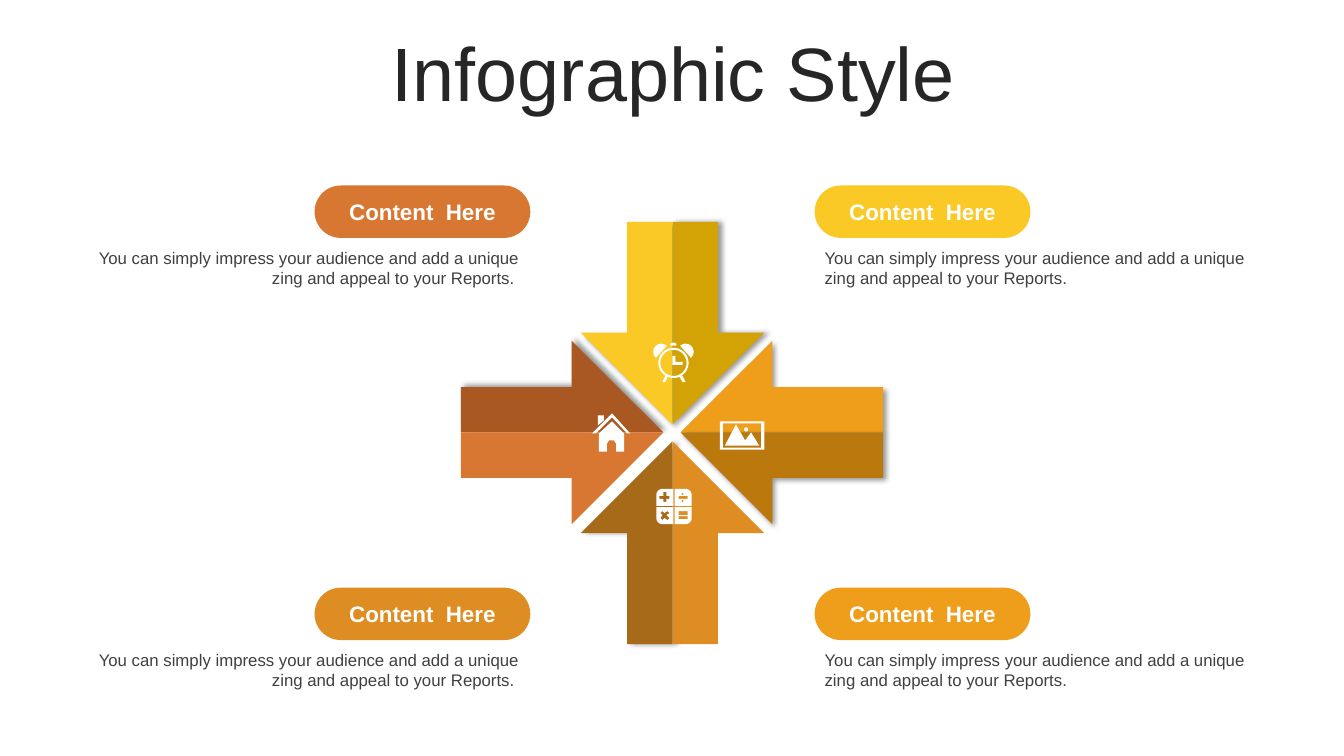
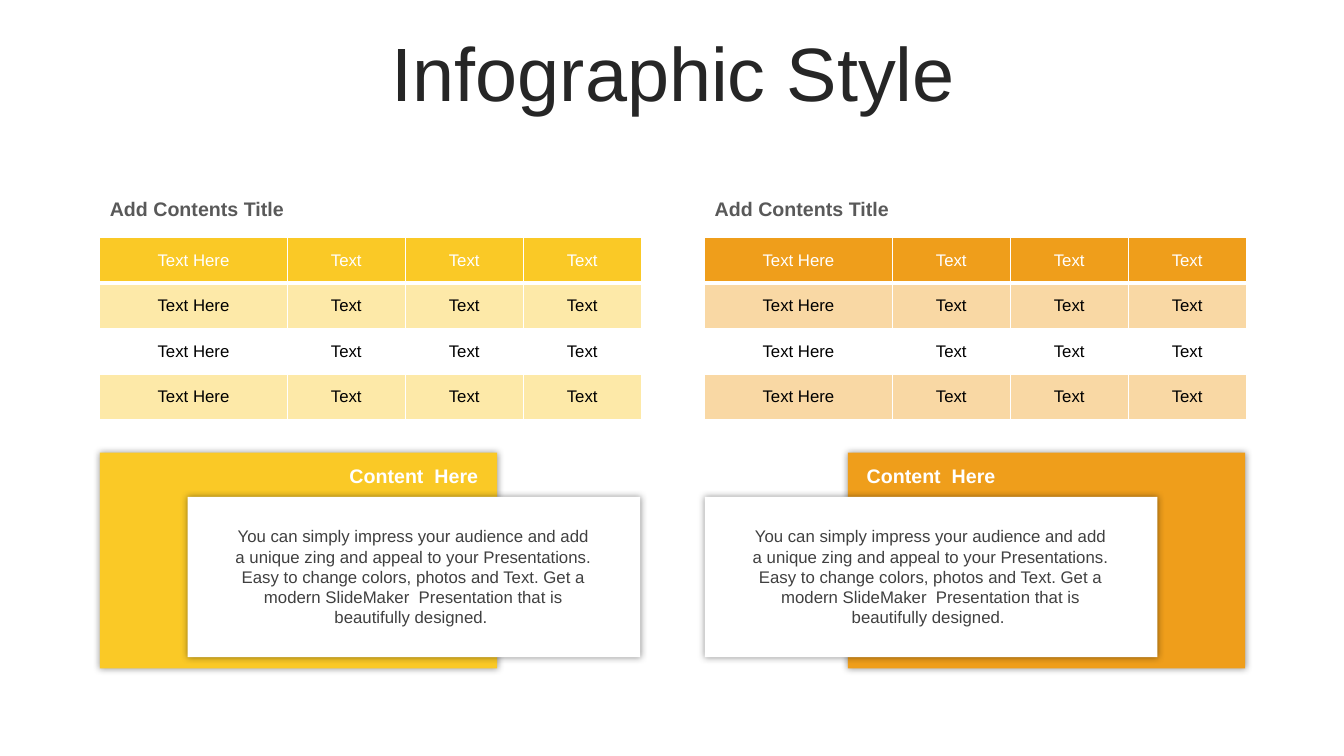
"""Build two infographic slides: four meeting arrows, and two tables with cards."""
from dataclasses import dataclass
from math import cos, radians, sin
from typing import Optional

from pptx import Presentation
from pptx.dml.color import RGBColor
from pptx.enum.shapes import MSO_SHAPE as Preset
from pptx.enum.text import MSO_ANCHOR as Anchor, MSO_AUTO_SIZE as AutoSize, PP_ALIGN as Align
from pptx.oxml.ns import qn
from pptx.oxml.xmlchemy import OxmlElement
from pptx.util import Emu, Pt

EMU_PER_PX = 9144
FONT = "Arial"
WHITE, BLACK, BODY_GREY = "FFFFFF", "000000", "404040"
YELLOW, AMBER, OCHRE, RUST = "FAC926", "EF9E1B", "DE8D22", "D87732"

TITLE = {"size": Pt(54), "bold": False}
PILL = {"size": Pt(16), "bold": True}
HEADING = {"size": Pt(14), "bold": True}
PLAIN = {"size": Pt(12), "bold": False}

REPORTS = "You can simply impress your audience and add a unique zing and appeal to your Reports."
PRESENTATIONS = (
    "You can simply impress your audience and add a unique zing and appeal to your "
    "Presentations. Easy to change colors, photos and Text. Get a modern SlideMaker  "
    "Presentation that is beautifully designed. "
)

Point = tuple[float, float]
Contour = list[Point]


@dataclass(frozen=True)
class Box:
    left: int
    top: int
    width: int
    height: int

    def emu(self) -> list[Emu]:
        return [px(side) for side in (self.left, self.top, self.width, self.height)]


@dataclass(frozen=True)
class Shadow:
    blur: int
    distance: int = 0
    angle: int = 0


@dataclass(frozen=True)
class ArrowHalf:
    tip: tuple[int, int]
    back: tuple[int, int]
    side: tuple[int, int]
    color: str
    shadow_angle: Optional[int] = None


@dataclass(frozen=True)
class Topic:
    left: int
    top: int
    color: str
    on_left: bool


@dataclass(frozen=True)
class Panel:
    left: int
    back_left: int
    card_left: int
    label_left: int
    color: str
    band: str


def px(length: float) -> Emu:
    return Emu(round(length * EMU_PER_PX))


def rgb(color: str) -> RGBColor:
    return RGBColor.from_string(color)


def arc(cx: int, cy: int, radius: int, start: int, end: int) -> Contour:
    steps = max(6, (end - start) // 10)
    angles = [radians(start + (end - start) * i / steps) for i in range(steps + 1)]
    return [(cx + radius * cos(a), cy + radius * sin(a)) for a in angles]


def rect(left: int, top: int, right: int, bottom: int) -> Contour:
    return [(left, top), (right, top), (right, bottom), (left, bottom)]


CLOCK = [
    arc(668, 360, 15, 0, 360),
    arc(668, 360, 13, 0, 360),
    [(667, 353), (670, 353), (670, 359), (677, 359), (677, 362), (667, 362)],
    [(677, 373), (680, 379), (677, 379), (674, 374)],
    [(662, 374), (660, 379), (657, 379), (660, 373)],
    arc(656, 349, 8, 132, 312),
    arc(680, 349, 8, 228, 408),
    [(665, 343), (665, 341), (667, 340), (669, 340), (671, 341), (671, 343)],
]
CALCULATOR = [
    arc(657, 491, 6, 180, 270) + [(668, 485), (668, 502), (651, 502)],
    arc(680, 491, 6, 270, 360) + [(686, 502), (669, 502), (669, 485)],
    arc(680, 514, 6, 0, 90) + [(669, 520), (669, 503), (686, 503)],
    arc(657, 514, 6, 90, 180) + [(651, 503), (668, 503), (668, 520)],
    [(658, 488), (661, 488), (661, 492), (664, 492), (664, 495), (661, 495),
     (661, 498), (658, 498), (658, 495), (654, 495), (654, 492), (658, 492)],
    [(657, 507), (655, 509), (657, 511), (655, 514), (657, 516), (659, 514),
     (662, 516), (664, 514), (661, 511), (664, 509), (662, 507), (659, 509)],
    rect(673, 492, 682, 495),
    arc(677, 490, 1, 0, 360),
    arc(677, 497, 1, 0, 360),
    rect(673, 507, 682, 511),
    rect(673, 512, 682, 515),
]
HOUSE = [
    [(607, 418), (619, 430), (619, 448), (611, 448), (611, 440), (609, 437),
     (604, 437), (602, 440), (602, 448), (594, 448), (594, 430)],
    [(593, 412), (599, 412), (599, 417), (593, 422)],
    [(607, 410), (625, 430), (622, 430), (607, 414), (591, 430), (587, 430)],
]
LANDSCAPE = [
    rect(714, 418, 758, 446),
    rect(717, 420, 755, 444),
    arc(740, 426, 2, 0, 360),
    [(730, 421), (739, 437), (745, 429), (753, 442), (719, 442)],
]

LEFT, RIGHT, UP, DOWN = (-1, 0), (1, 0), (0, -1), (0, 1)
ARROW_HALVES = [
    ArrowHalf((658, 429), LEFT, UP, "A85820", 315),
    ArrowHalf((658, 429), LEFT, DOWN, RUST),
    ArrowHalf((675, 429), RIGHT, UP, AMBER, 45),
    ArrowHalf((675, 429), RIGHT, DOWN, "BA780D", 45),
    ArrowHalf((667, 421), UP, LEFT, YELLOW, 45),
    ArrowHalf((667, 421), UP, RIGHT, "D3A305", 0),
    ArrowHalf((667, 438), DOWN, LEFT, "A76A19", 0),
    ArrowHalf((667, 438), DOWN, RIGHT, OCHRE),
]
HALF_PROFILE = [(0, 0), (91, 91), (91, 45), (201, 45), (201, 0)]

TOPICS = [
    Topic(312, 184, RUST, True),
    Topic(312, 583, OCHRE, True),
    Topic(808, 184, YELLOW, False),
    Topic(808, 583, AMBER, False),
]
PANELS = [
    Panel(99, 99, 186, 312, YELLOW, "FDE9A8"),
    Panel(699, 841, 699, 825, AMBER, "F9D8A4"),
]
COLUMN_WIDTHS = [186, 117, 117, 117]
ROW_HEIGHT, ROW_COUNT = 45, 4


def paint(shape, color: str, shadow: Optional[Shadow] = None) -> None:
    shape.fill.solid()
    shape.fill.fore_color.rgb = rgb(color)
    shape.line.fill.background()
    shape.shadow.inherit = False
    if shadow:
        effects = shape.element.spPr.find(qn("a:effectLst"))
        outer = add_child(effects, "a:outerShdw", blurRad=Pt(shadow.blur),
                          dist=Pt(shadow.distance), dir=shadow.angle * 60000,
                          algn="ctr", rotWithShape=0)
        tint = add_child(outer, "a:srgbClr", val=BLACK)
        add_child(tint, "a:alpha", val=40000)


def add_child(parent, tag: str, **attributes):
    child = OxmlElement(tag)
    for key, value in attributes.items():
        child.set(key, str(int(value)) if isinstance(value, int) else value)
    parent.append(child)
    return child


def write(frame, text: str, font: dict, color: str, align=Align.CENTER):
    paragraph = frame.paragraphs[0]
    paragraph.alignment = align
    run = paragraph.add_run()
    run.text = text
    for key, value in {"name": FONT, **font}.items():
        setattr(run.font, key, value)
    run.font.color.rgb = rgb(color)
    return paragraph


def add_text(slide, box: Box, text: str, font: dict, color: str, align=Align.CENTER) -> None:
    frame = slide.shapes.add_textbox(*box.emu()).text_frame
    frame.word_wrap = True
    frame.auto_size = AutoSize.SHAPE_TO_FIT_TEXT
    write(frame, text, font, color, align)


def add_title(slide) -> None:
    frame = slide.shapes.add_textbox(*Box(35, 37, 1266, 79).emu()).text_frame
    for key, value in {"word_wrap": True, "vertical_anchor": Anchor.MIDDLE}.items():
        setattr(frame, key, value)
    write(frame, "Infographic Style", TITLE, "262626").line_spacing = 0.9


def add_outline(slide, contours: list[Contour], color: str,
                shadow: Optional[Shadow] = None) -> None:
    scaled = [[(px(x), px(y)) for x, y in contour] for contour in contours]
    builder = slide.shapes.build_freeform(*scaled[0][0])
    for index, (start, *rest) in enumerate(scaled):
        if index:
            builder.move_to(*start)
        builder.add_line_segments(rest, close=True)
    paint(builder.convert_to_shape(), color, shadow)


def add_arrow_half(slide, half: ArrowHalf) -> None:
    (x, y), (bx, by), (sx, sy) = half.tip, half.back, half.side
    contour = [(x + along * bx + out * sx, y + along * by + out * sy)
               for along, out in HALF_PROFILE]
    angle = half.shadow_angle
    add_outline(slide, [contour], half.color, None if angle is None else Shadow(4, 3, angle))


def add_topic(slide, topic: Topic) -> None:
    pill = slide.shapes.add_shape(
        Preset.ROUNDED_RECTANGLE, *Box(topic.left, topic.top, 214, 52).emu())
    pill.adjustments[0] = 0.5
    paint(pill, topic.color)
    pill.text_frame.vertical_anchor = Anchor.MIDDLE
    write(pill.text_frame, "Content  Here", PILL, WHITE)
    text_left = topic.left + 214 - 443 if topic.on_left else topic.left
    add_text(slide, Box(text_left, topic.top + 57, 442, 50),
             REPORTS + " " * topic.on_left, PLAIN, BODY_GREY,
             Align.RIGHT if topic.on_left else Align.LEFT)


def add_border(cell, side: str, points: int) -> None:
    line = add_child(cell._tc.get_or_add_tcPr(), f"a:ln{side}", w=Pt(points))
    add_child(add_child(line, "a:solidFill"), "a:srgbClr", val=WHITE)


def add_grid(slide, panel: Panel) -> None:
    box = Box(panel.left, 236, sum(COLUMN_WIDTHS), ROW_HEIGHT * ROW_COUNT)
    grid = slide.shapes.add_table(ROW_COUNT, len(COLUMN_WIDTHS), *box.emu()).table
    for column, width in zip(grid.columns, COLUMN_WIDTHS):
        column.width = px(width)
    fills = [panel.color, panel.band, WHITE, panel.band]
    for r, fill in enumerate(fills):
        grid.rows[r].height = px(ROW_HEIGHT)
        for c in range(len(COLUMN_WIDTHS)):
            cell = grid.cell(r, c)
            borders = {"L": 1, "R": 1, "T": 3 if r == 1 else 1, "B": 3 if r == 0 else 1}
            for side, points in borders.items():
                add_border(cell, side, points)
            cell.fill.solid()
            cell.fill.fore_color.rgb = rgb(fill)
            cell.vertical_anchor = Anchor.MIDDLE
            write(cell.text_frame, "Text" if c else "Text Here", PLAIN, BLACK if r else WHITE)


def add_panel(slide, panel: Panel) -> None:
    add_text(slide, Box(panel.left, 190, 275, 34), "Add Contents Title", HEADING,
             "595959", Align.LEFT)
    add_grid(slide, panel)
    layers = [(Box(panel.back_left, 449, 394, 214), panel.color),
              (Box(panel.card_left, 493, 449, 159), WHITE)]
    for box, color in layers:
        paint(slide.shapes.add_shape(Preset.RECTANGLE, *box.emu()), color, Shadow(5))
    add_text(slide, Box(panel.label_left, 455, 197, 34), "Content  Here", HEADING, WHITE)
    add_text(slide, Box(panel.card_left + 33, 517, 382, 111), PRESENTATIONS, PLAIN, BODY_GREY)


def main() -> None:
    deck = Presentation()
    deck.slide_width, deck.slide_height = px(1333), px(750)
    arrows, tables = (deck.slides.add_slide(deck.slide_layouts[6]) for _ in range(2))
    for slide in (arrows, tables):
        add_title(slide)
    for half in ARROW_HALVES:
        add_arrow_half(arrows, half)
    for icon in (CLOCK, CALCULATOR, HOUSE, LANDSCAPE):
        add_outline(arrows, icon, WHITE)
    for topic in TOPICS:
        add_topic(arrows, topic)
    for panel in PANELS:
        add_panel(tables, panel)
    deck.save("out.pptx")


if __name__ == "__main__":
    main()
